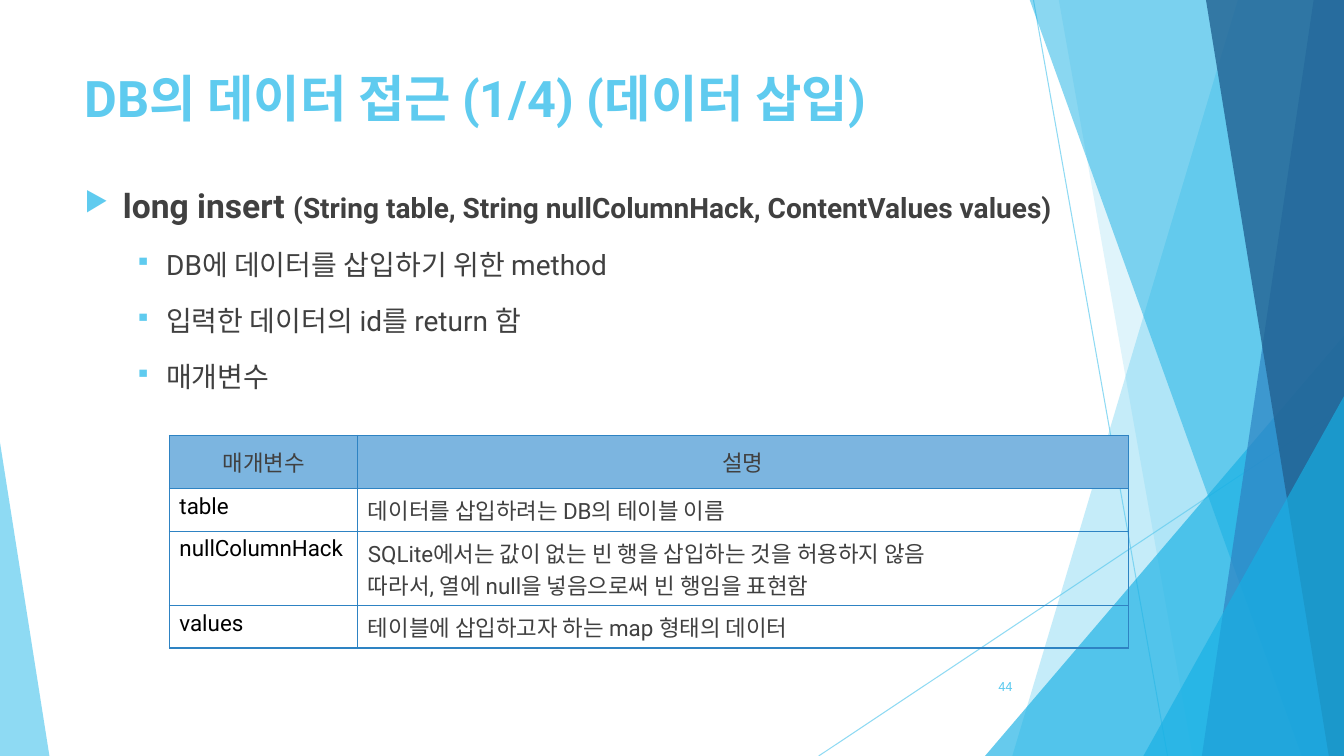
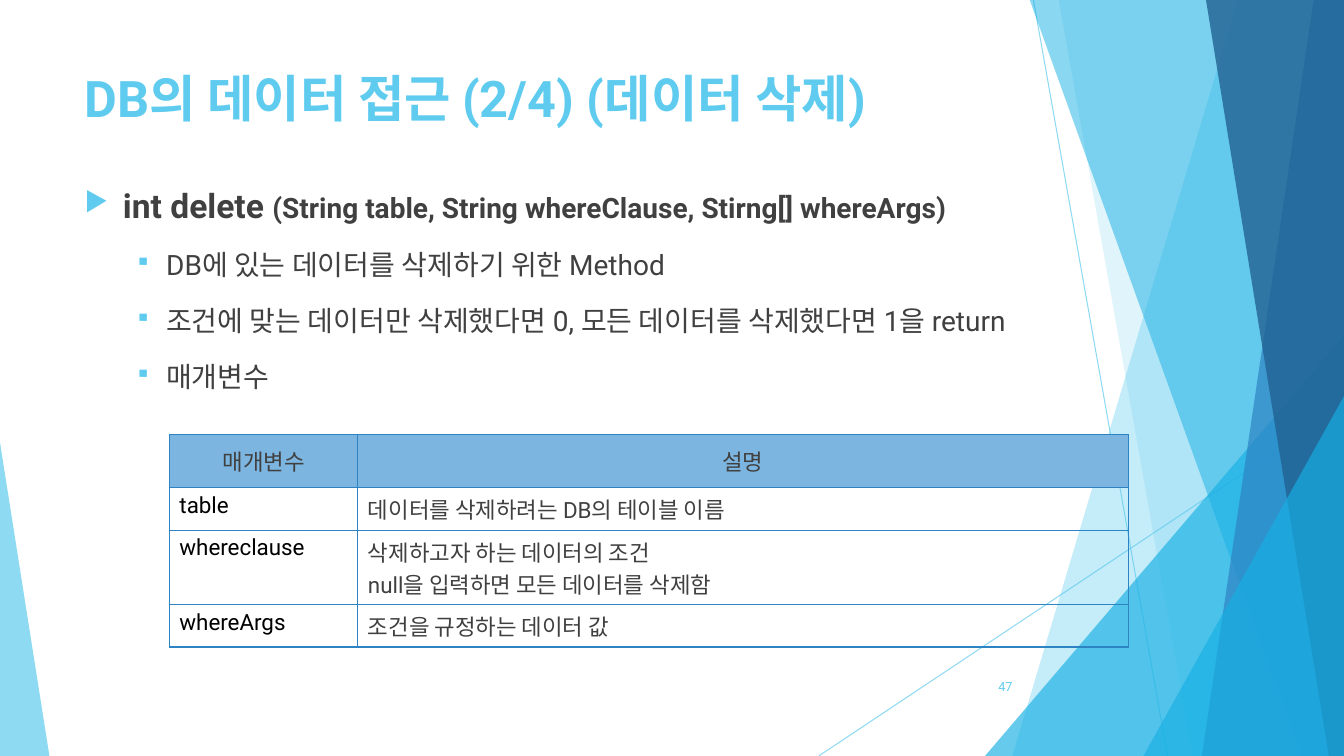
from lxml.etree import SubElement
from pptx import Presentation
from pptx.dml.color import RGBColor
from pptx.enum.shapes import MSO_CONNECTOR, MSO_SHAPE
from pptx.enum.text import MSO_ANCHOR, MSO_AUTO_SIZE, PP_ALIGN
from pptx.oxml.ns import qn
from pptx.util import Pt

PX = 9144
FONT = "Roboto"
COLORS = {
    "sky": "5FCBEF",
    "cyan": "17B0E4",
    "blue": "2E83C3",
    "navy": "226292",
    "header": "7CB5E0",
    "text": "404040",
    "black": "000000",
}

TITLE_BOX = (74, 67, 940, 144)
BODY_BOX = (74, 154, 1031, 499)
NUMBER_BOX = (939, 661, 75, 40)
TABLE_LEFT = 168
COLUMN_WIDTHS = (187, 764)
ROW_HEIGHTS = (53, 42, 74, 42)

RAYS = [((1025, 0), (1158, 750)), ((1333, 403), (812, 750))]
FACETS = [
    ("band", (1228, 1004), "sky", 36),
    ("band", (1050, 1183), "sky", 20),
    ("triangle", (977, 333, 356, 417, 1), "cyan", 66),
    ("band", (1021, 1291), "cyan", 50),
    ("band", (1303, 1192), "blue", 70),
    ("band", (1196, 1318), "navy", 80),
    ("triangle", (1134, 393, 199, 357, 1), "cyan", 66),
    ("triangle", (0, 439, 49, 311, 0), "sky", 70),
]

BULLETS = [
    {"char": "▶", "indent": 38, "hanging": 38},
    {"char": "▪", "indent": 81, "hanging": 31},
]

HEADER = ("매개변수", "설명")
SLIDES = [
    {
        "title": "DB의 데이터 접근 (1/4) (데이터 삽입)",
        "method": "long insert ",
        "arguments": "(String table, String nullColumnHack, ContentValues values)",
        "points": ["DB에 데이터를 삽입하기 위한 method", "입력한 데이터의 id를 return 함", "매개변수"],
        "table_top": 432,
        "parameters": [
            ("table", "데이터를 삽입하려는 DB의 테이블 이름"),
            (
                "nullColumnHack",
                "SQLite에서는 값이 없는 빈 행을 삽입하는 것을 허용하지 않음\n"
                "따라서, 열에 null을 넣음으로써 빈 행임을 표현함",
            ),
            ("values", "테이블에 삽입하고자 하는 map 형태의 데이터"),
        ],
        "number": "44",
    },
    {
        "title": "DB의 데이터 접근 (2/4) (데이터 삭제)",
        "method": "int delete ",
        "arguments": "(String table, String whereClause, Stirng[] whereArgs)",
        "points": [
            "DB에 있는 데이터를 삭제하기 위한 Method",
            "조건에 맞는 데이터만 삭제했다면 0, 모든 데이터를 삭제했다면 1을 return",
            "매개변수",
        ],
        "table_top": 431,
        "parameters": [
            ("table", "데이터를 삭제하려는 DB의 테이블 이름"),
            ("whereclause", "삭제하고자 하는 데이터의 조건\nnull을 입력하면 모든 데이터를 삭제함"),
            ("whereArgs", "조건을 규정하는 데이터 값"),
        ],
        "number": "47",
    },
]


def px(*lengths):
    """Turn pixel lengths into EMU."""
    return [length * PX for length in lengths]


def apply(target, values):
    """Set each attribute in values on the target."""
    for name, value in values.items():
        setattr(target, name, value)


def rgb(color):
    """Return the named colour."""
    return RGBColor.from_string(COLORS[color])


def style(part, size, color, bold=False):
    """Format the font of a run or paragraph."""
    apply(part.font, {"name": FONT, "size": Pt(size), "bold": bold})
    part.font.color.rgb = rgb(color)


def paint(fill, color, opacity):
    """Apply a solid see-through colour to a fill."""
    fill.solid()
    fill.fore_color.rgb = rgb(color)
    for paint_color in fill._xPr.iter(qn("a:srgbClr")):
        SubElement(paint_color, qn("a:alpha"), val=str(opacity * 1000))


def add_band(shapes, top_x, bottom_x):
    """Add a band from a slanted edge to the right side of the slide."""
    outline = shapes.build_freeform(top_x, -1, scale=PX)
    outline.add_line_segments([(1333, -1), (1333, 750), (bottom_x, 750)], close=True)
    return outline.convert_to_shape()


def add_triangle(shapes, left, top, width, height, apex):
    """Add a triangle with its apex at a share of its width."""
    triangle = shapes.add_shape(MSO_SHAPE.ISOSCELES_TRIANGLE, *px(left, top, width, height))
    triangle.adjustments[0] = apex
    return triangle


def add_backdrop(slide):
    """Draw the faceted backdrop and place it on the layout of the slide."""
    backdrop = slide.shapes.add_group_shape()
    for start, end in RAYS:
        ray = backdrop.shapes.add_connector(MSO_CONNECTOR.STRAIGHT, *px(*start, *end))
        ray.line.width = Pt(0.75)
        paint(ray.line.fill, "sky", 70)
        SubElement(ray.element.spPr, qn("a:effectLst"))
    builders = {"band": add_band, "triangle": add_triangle}
    for kind, geometry, color, opacity in FACETS:
        facet = builders[kind](backdrop.shapes, *geometry)
        paint(facet.fill, color, opacity)
        facet.line.fill.background()
        facet.shadow.inherit = False
    slide.slide_layout.shapes.element.insert(2, backdrop.element)


def add_title(slide, box, text):
    """Place the title placeholder in its box."""
    title = slide.shapes.title
    apply(title, dict(zip(("left", "top", "width", "height"), px(*box))))
    frame = title.text_frame
    frame.text = text
    apply(frame, {
        "word_wrap": True,
        "auto_size": MSO_AUTO_SIZE.NONE,
        "vertical_anchor": MSO_ANCHOR.TOP,
        "margin_top": 0,
    })
    frame.paragraphs[0].alignment = PP_ALIGN.LEFT
    style(frame.paragraphs[0], 36, "sky", True)


def add_bullet(paragraph, level):
    """Give a paragraph the bullet and indent of its level."""
    bullet = BULLETS[level]
    properties = paragraph._p.get_or_add_pPr()
    properties.set("marL", str(bullet["indent"] * PX))
    properties.set("indent", str(-bullet["hanging"] * PX))
    color = SubElement(properties, qn("a:buClr"))
    SubElement(color, qn("a:srgbClr"), val=COLORS["sky"])
    SubElement(properties, qn("a:buSzPct"), val="80000")
    SubElement(properties, qn("a:buChar"), char=bullet["char"])
    apply(paragraph, {"level": level, "line_spacing": 1.25})


def add_body(slide, box, content):
    """Write the method signature and its points."""
    frame = slide.shapes.add_textbox(*px(*box)).text_frame
    apply(frame, {"word_wrap": True, "margin_top": 19 * PX})
    signature = frame.paragraphs[0]
    add_bullet(signature, 0)
    for key, size in (("method", 24), ("arguments", 20)):
        run = signature.add_run()
        run.text = content[key]
        style(run, size, "text", True)
    for text in content["points"]:
        point = frame.add_paragraph()
        point.text = text
        add_bullet(point, 1)
        point.space_before = Pt(10)
        style(point, 20, "text")


def add_borders(cell):
    """Draw the four borders of a cell."""
    properties = cell._tc.get_or_add_tcPr()
    for side in ("lnL", "lnR", "lnT", "lnB"):
        border = SubElement(properties, qn(f"a:{side}"), w=str(Pt(1)))
        fill = SubElement(border, qn("a:solidFill"))
        SubElement(fill, qn("a:srgbClr"), val=COLORS["blue"])


def fill_cell(cell, text, is_header, is_name):
    """Write and format one cell of the parameter table."""
    cell.text = text
    add_borders(cell)
    if is_header:
        cell.fill.solid()
        cell.fill.fore_color.rgb = rgb("header")
        cell.vertical_anchor = MSO_ANCHOR.MIDDLE
    else:
        cell.fill.background()
    for paragraph in cell.text_frame.paragraphs:
        paragraph.alignment = PP_ALIGN.CENTER if is_header else PP_ALIGN.LEFT
        style(paragraph, 16, "black" if is_name and not is_header else "text")


def add_parameters(slide, left, top, parameters):
    """Add the table of parameters at a corner point."""
    rows = [HEADER, *parameters]
    box = px(left, top, sum(COLUMN_WIDTHS), sum(ROW_HEIGHTS))
    table = slide.shapes.add_table(len(rows), len(HEADER), *box).table
    apply(table, {"first_row": False, "horz_banding": False})
    for column, width in zip(table.columns, px(*COLUMN_WIDTHS)):
        column.width = width
    for row, height in zip(table.rows, px(*ROW_HEIGHTS)):
        row.height = height
    for r, texts in enumerate(rows):
        for c, text in enumerate(texts):
            fill_cell(table.cell(r, c), text, r == 0, c == 0)


def add_number(slide, box, number):
    """Write the page number."""
    frame = slide.shapes.add_textbox(*px(*box)).text_frame
    apply(frame, {"word_wrap": True, "vertical_anchor": MSO_ANCHOR.MIDDLE})
    paragraph = frame.paragraphs[0]
    apply(paragraph, {"text": number, "alignment": PP_ALIGN.RIGHT})
    style(paragraph, 9, "sky")


def add_method_slide(slide, content):
    """Fill a slide that explains one database method."""
    add_title(slide, TITLE_BOX, content["title"])
    add_body(slide, BODY_BOX, content)
    add_parameters(slide, TABLE_LEFT, content["table_top"], content["parameters"])
    add_number(slide, NUMBER_BOX, content["number"])


def main():
    """Build and save the presentation."""
    deck = Presentation()
    apply(deck, dict(zip(("slide_width", "slide_height"), px(1333, 750))))
    slides = [deck.slides.add_slide(deck.slide_layouts[5]) for _ in SLIDES]
    add_backdrop(slides[0])
    for slide, content in zip(slides, SLIDES):
        add_method_slide(slide, content)
    deck.save("out.pptx")


if __name__ == "__main__":
    main()
